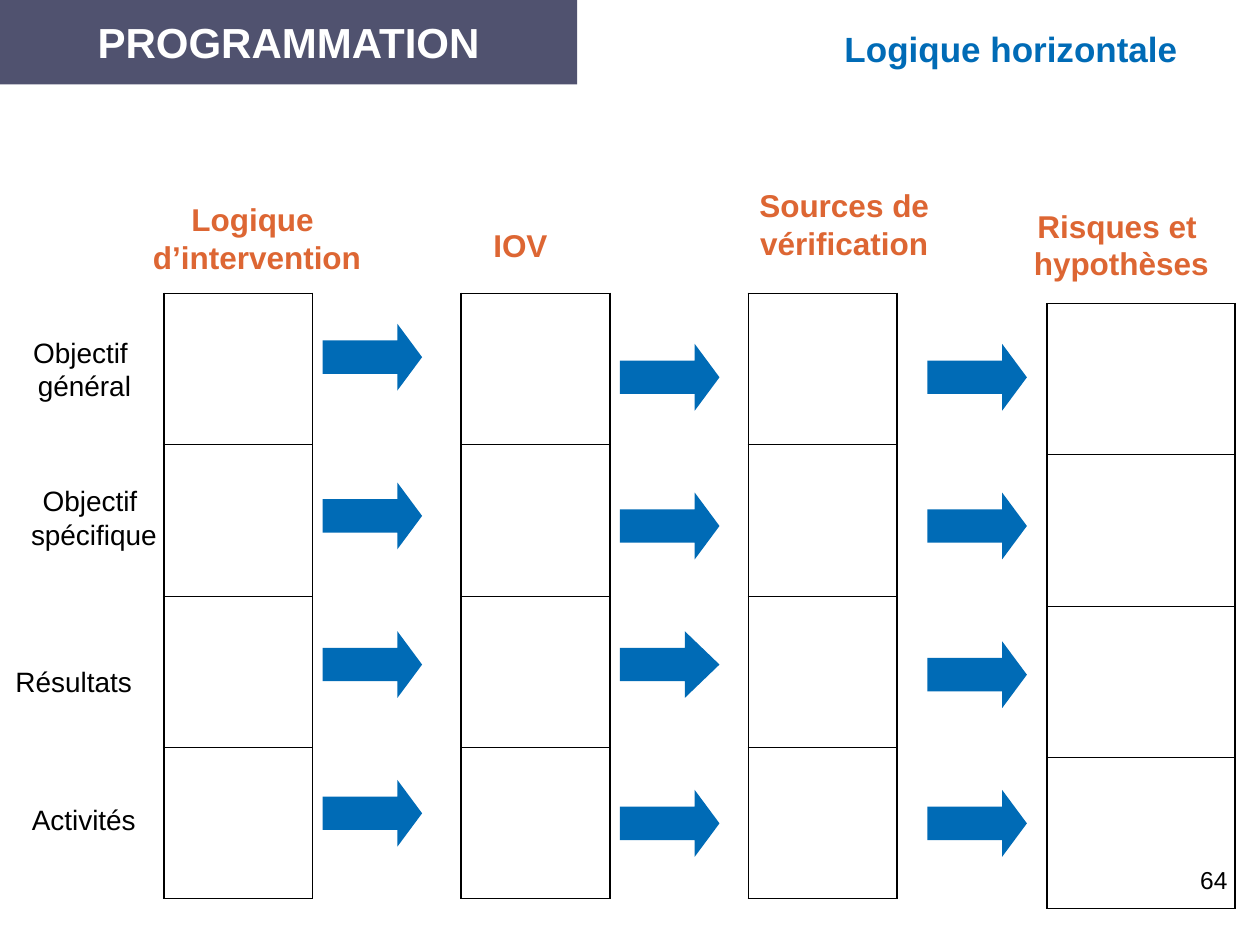
from dataclasses import dataclass

from lxml import etree
from pptx import Presentation
from pptx.dml.color import RGBColor
from pptx.enum.shapes import MSO_SHAPE
from pptx.enum.text import MSO_ANCHOR, PP_ALIGN
from pptx.oxml.ns import qn
from pptx.util import Inches, Pt

RECTANGLE, RIGHT_ARROW = MSO_SHAPE.RECTANGLE, MSO_SHAPE.RIGHT_ARROW
MIDDLE, TOP = MSO_ANCHOR.MIDDLE, MSO_ANCHOR.TOP
CENTER, RIGHT = PP_ALIGN.CENTER, PP_ALIGN.RIGHT


@dataclass(frozen=True)
class Theme:
    font: str = "Arial"
    banner: str = "50526F"
    blue: str = "006BB6"
    orange: str = "DD6633"
    black: str = "000000"
    white: str = "FFFFFF"
    banner_size: int = 24
    title_size: int = 20
    heading_size: int = 18
    label_size: int = 16
    number_size: int = 14
    outer_border: float = 1.08
    inner_border: float = 0.45


THEME = Theme()

BANNER = "PROGRAMMATION"
TITLE = ("Logique horizontale", 6.66, 0.22, 2.73)
PAGE_NUMBER = "64"

# text, left, top, width
HEADINGS = [
    ("Logique \nd’intervention", 1.17, 1.59, 1.74),
    ("IOV", 3.87, 1.79, 0.52),
    ("Sources de \nvérification ", 5.98, 1.48, 1.51),
    ("Risques et \nhypothèses", 8.16, 1.64, 1.48),
]
ROW_LABELS = [
    ("Objectif \ngénéral", 0.22, 2.66, 0.90),
    ("Objectif \nspécifique", 0.20, 3.84, 1.09),
    ("Résultats", 0.08, 5.27, 1.01),
    ("Activités", 0.21, 6.37, 0.91),
]

# left, top, width
COLUMNS = [(1.30, 2.33, 1.18), (3.66, 2.33, 1.18), (5.94, 2.33, 1.18), (8.31, 2.41, 1.49)]
ROW_COUNT, ROW_HEIGHT = len(ROW_LABELS), 1.2

# left, tops
ARROW_COLUMNS = [
    (2.56, [2.57, 3.83, 5.01, 6.19]),
    (4.92, [2.73, 3.91, 5.01, 6.27]),
    (7.36, [2.73, 3.91, 5.09, 6.27]),
]
ARROW_WIDTH, ARROW_HEIGHT = 0.79, 0.53
ARROW_HEAD = 0.37
LONG_HEADS = {(4.92, 5.01): 0.52}


def write(shape, text, size, color, bold=False, align=CENTER, anchor=MIDDLE):
    text_frame = shape.text_frame
    text_frame.text = text
    text_frame.vertical_anchor = anchor
    for paragraph in text_frame.paragraphs:
        paragraph.alignment = align
        font = paragraph.runs[0].font
        font.name, font.size, font.bold = THEME.font, Pt(size), bold
        font.color.rgb = RGBColor.from_string(color)


def add_shape(slide, kind, left, top, width, height, color):
    shape = slide.shapes.add_shape(
        kind, Inches(left), Inches(top), Inches(width), Inches(height))
    shape.shadow.inherit = False
    shape.fill.solid()
    shape.fill.fore_color.rgb = RGBColor.from_string(color)
    shape.line.fill.background()
    return shape


def add_label(slide, label, size, color, bold=False):
    """Add unwrapped centred text without margins, as tall as its lines."""
    text, left, top, width = label
    height = (text.count("\n") + 1) * size / 60
    box = slide.shapes.add_textbox(
        Inches(left), Inches(top), Inches(width), Inches(height))
    text_frame = box.text_frame
    text_frame.word_wrap = False
    text_frame.margin_left = text_frame.margin_right = 0
    text_frame.margin_top = text_frame.margin_bottom = 0
    write(box, text, size, color, bold)


def set_borders(cell, widths):
    """Draw the cell borders; widths maps each side to points, in schema order."""
    properties = cell._tc.get_or_add_tcPr()
    for side, width in widths.items():
        line = etree.SubElement(properties, qn(f"a:ln{side}"), w=str(int(Pt(width))))
        fill = etree.SubElement(line, qn("a:solidFill"))
        etree.SubElement(fill, qn("a:srgbClr"), val=THEME.black)


def add_column(slide, left, top, width):
    frame = slide.shapes.add_table(
        ROW_COUNT, 1, Inches(left), Inches(top), Inches(width),
        Inches(ROW_COUNT * ROW_HEIGHT))
    table = frame.table
    table.first_row = table.horz_banding = False
    outer, inner = THEME.outer_border, THEME.inner_border
    for index in range(ROW_COUNT):
        cell = table.cell(index, 0)
        set_borders(cell, {
            "L": outer,
            "R": outer,
            "T": outer if index == 0 else inner,
            "B": outer if index == ROW_COUNT - 1 else inner,
        })
        cell.fill.background()


def add_arrow(slide, left, top):
    arrow = add_shape(
        slide, RIGHT_ARROW, left, top, ARROW_WIDTH, ARROW_HEIGHT, THEME.blue)
    arrow.adjustments[0] = 0.5
    arrow.adjustments[1] = LONG_HEADS.get((left, top), ARROW_HEAD)


def main():
    presentation = Presentation()
    presentation.slide_width, presentation.slide_height = Inches(10), Inches(7.5)
    slide = presentation.slides.add_slide(presentation.slide_layouts[6])

    banner = add_shape(slide, RECTANGLE, 0, 0, 4.58, 0.67, THEME.banner)
    write(banner, BANNER, THEME.banner_size, THEME.white, bold=True)
    add_label(slide, TITLE, THEME.title_size, THEME.blue, bold=True)

    for heading in HEADINGS:
        add_label(slide, heading, THEME.heading_size, THEME.orange, bold=True)
    for label in ROW_LABELS:
        add_label(slide, label, THEME.label_size, THEME.black)
    for column in COLUMNS:
        add_column(slide, *column)
    for left, tops in ARROW_COLUMNS:
        for top in tops:
            add_arrow(slide, left, top)

    number = slide.shapes.add_textbox(
        Inches(7.76), Inches(6.82), Inches(2.08), Inches(0.5))
    number.text_frame.word_wrap = True
    write(number, PAGE_NUMBER, THEME.number_size, THEME.black, align=RIGHT, anchor=TOP)

    presentation.save("out.pptx")


if __name__ == "__main__":
    main()
